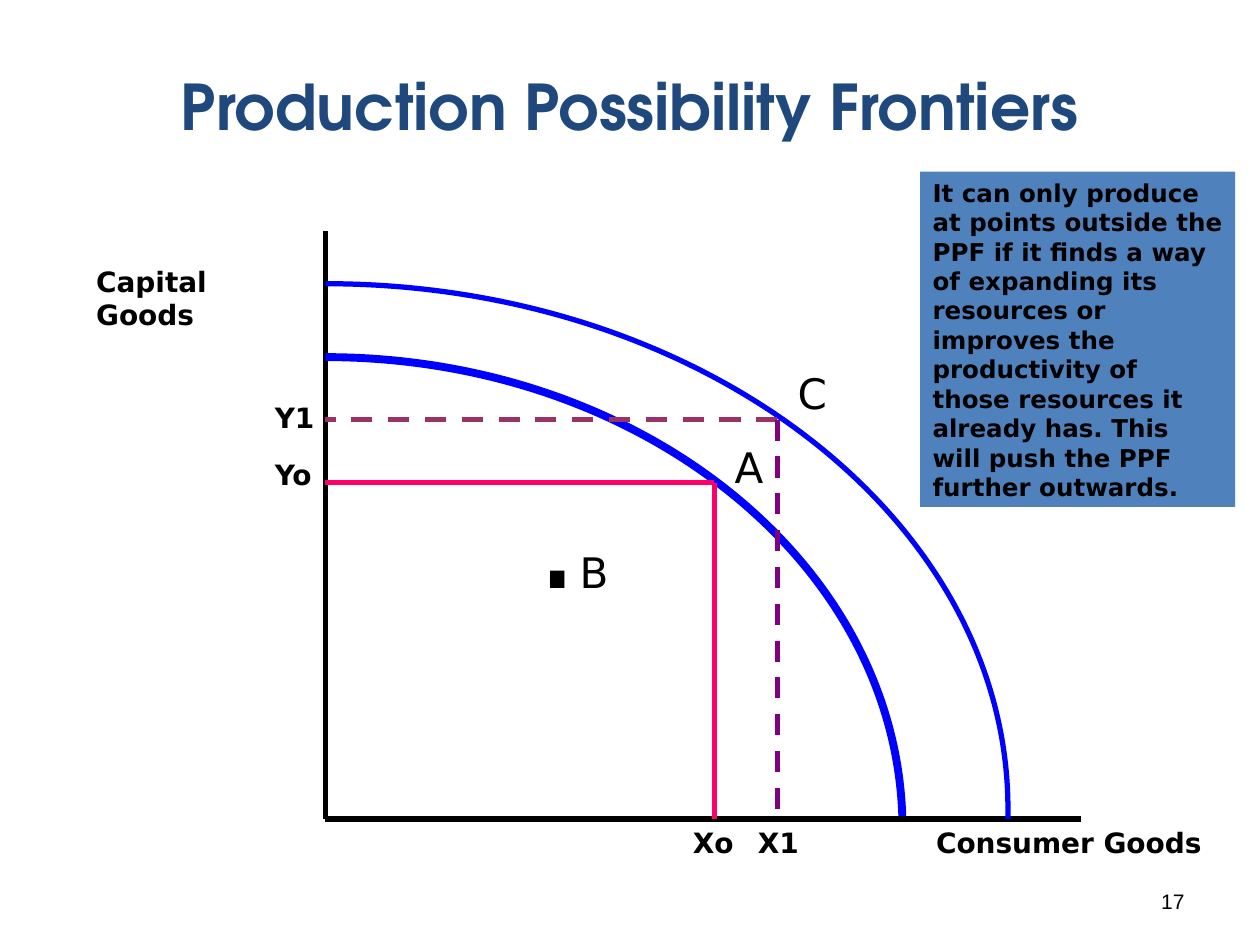
from lxml import etree
from pptx import Presentation
from pptx.dml.color import RGBColor
from pptx.enum.dml import MSO_LINE
from pptx.enum.shapes import MSO_CONNECTOR, MSO_SHAPE
from pptx.enum.text import MSO_ANCHOR, MSO_AUTO_SIZE, PP_ALIGN
from pptx.oxml.ns import qn
from pptx.util import Cm, Pt

STRAIGHT, RECTANGLE = MSO_CONNECTOR.STRAIGHT, MSO_SHAPE.RECTANGLE
DASH = MSO_LINE.DASH
TOP, MIDDLE = MSO_ANCHOR.TOP, MSO_ANCHOR.MIDDLE
FIXED, GROW = MSO_AUTO_SIZE.NONE, MSO_AUTO_SIZE.SHAPE_TO_FIT_TEXT
LEFT, CENTER, RIGHT = PP_ALIGN.LEFT, PP_ALIGN.CENTER, PP_ALIGN.RIGHT

THEME = {
    "black": "000000", "curve": "0000FF", "current": "FF0066",
    "growth_y": "993366", "growth_x": "800080", "note": "4F81BD",
    "title": {"name": "TeX Gyre Adventor", "size": Pt(36), "bold": True, "color": "1F497D"},
    "label": {"name": "DejaVu Sans", "size": Pt(16), "bold": True, "color": "000000"},
    "remark": {"name": "DejaVu Sans", "size": Pt(14), "bold": True, "color": "000000"},
    "point": {"name": "DejaVu Sans", "size": Pt(24), "bold": False, "color": "000000"},
    "dot": {"name": "DejaVu Sans", "size": Pt(80), "bold": False, "color": "000000"},
    "number": {"name": "Arial", "size": Pt(12), "bold": False, "color": "000000"},
}

# All places are in centimetres.
AXIS_X, AXIS_Y, AXIS_TOP, AXIS_RIGHT = 6.56, 16.51, 4.66, 21.8
X0, Y0 = 14.4, 9.73
X1, Y1 = 15.67, 8.46

AXES = [
    ((AXIS_X, AXIS_TOP), (AXIS_X, AXIS_Y), "black", None),
    ((AXIS_X, AXIS_Y), (AXIS_RIGHT, AXIS_Y), "black", None),
]
CURRENT_GUIDES = [
    ((AXIS_X, Y0), (X0, Y0), "current", None),
    ((X0, Y0), (X0, AXIS_Y), "current", None),
]
GROWTH_GUIDES = [
    ((X1, Y1), (AXIS_X, Y1), "growth_y", DASH),
    ((X1, Y1), (X1, AXIS_Y), "growth_x", DASH),
]

# top, (width, height), line width, Bezier segments measured from the top left
INNER_FRONTIER = (7.2, (11.63, 9.53), 4.5, [
    [(6.3, 0), (11.46, 4.09), (11.63, 9.25)],
])
OUTER_FRONTIER = (5.72, (13.76, 10.79), 3, [
    [(7.6, 0), (13.76, 4.75), (13.76, 10.59)],
    [(13.76, 10.66), (13.76, 10.72), (13.76, 10.79)],
])

TITLE = ((1.9, 0.53, 21.59, 3.18), [("Production Possibility Frontiers", "title")])
PAGE_NUMBER = ((18.21, 17.65, 5.92, 1.02), [("17", "number")])
CAPITAL = ((1.69, 5.2, 4.8, 0.94), [("Capital Goods", "label")])
LABELS = [
    ((18.62, AXIS_Y, 5.87, 0.94), [("Consumer Goods", "label")]),
    ((5.29, 9.09, 1.32, 0.94), [("Yo", "label")]),
    ((13.72, AXIS_Y, 1.32, 0.94), [("Xo", "label")]),
    ((14.56, 8.77, 1.09, 1.27), [("A", "point")]),
    ((10.54, 8.92, 2.13, 3.63), [(".", "dot"), ("B", "point")]),
    ((15.83, 7.29, 1.09, 1.27), [("C", "point")]),
    ((5.29, 7.95, 1.32, 0.94), [("Y1", "label")]),
    ((15.03, AXIS_Y, 1.35, 0.94), [("X1", "label")]),
]
NOTE = ((18.55, 3.46, 6.35, 6.76), [(
    "It can only produce at points outside the PPF if it finds a way of "
    "expanding its resources or improves the productivity of those resources "
    "it already has. This will push the PPF further outwards.", "remark")])


def rgb(value):
    return RGBColor.from_string(value)


def write(shape, spans, align=LEFT, anchor=TOP, wrap=True, fit=GROW):
    frame = shape.text_frame
    frame.word_wrap, frame.vertical_anchor, frame.auto_size = wrap, anchor, fit
    para = frame.paragraphs[0]
    para.alignment = align
    for words, style in spans:
        span = para.add_run()
        span.text = words
        for key, value in THEME[style].items():
            if key == "color":
                span.font.color.rgb = rgb(value)
            else:
                setattr(span.font, key, value)


def add_text(page, item, **layout):
    place, spans = item
    write(page.shapes.add_textbox(*map(Cm, place)), spans, **layout)


def add_lines(page, lines):
    for start, end, color, dash in lines:
        line = page.shapes.add_connector(STRAIGHT, *map(Cm, start + end))
        line.line.color.rgb = rgb(THEME[color])
        line.line.width = Pt(3)
        if dash:
            line.line.dash_style = dash
        etree.SubElement(line._element.spPr, qn("a:effectLst"))


def add_frontier(page, frontier):
    """Span the frame with a freeform, then give its outline Bezier segments."""
    top, (width, height), weight, segments = frontier
    builder = page.shapes.build_freeform(Cm(AXIS_X), Cm(top))
    builder.add_line_segments([(Cm(AXIS_X + width), Cm(top + height))], close=False)
    curve = builder.convert_to_shape()
    outline = curve._element.spPr.find(".//" + qn("a:path"))
    outline.set("fill", "none")
    outline.remove(outline.find(qn("a:lnTo")))
    for segment in segments:
        bezier = etree.SubElement(outline, qn("a:cubicBezTo"))
        for x, y in segment:
            etree.SubElement(bezier, qn("a:pt"), x=str(int(Cm(x))), y=str(int(Cm(y))))
    curve.shadow.inherit = False
    curve.fill.background()
    curve.line.color.rgb = rgb(THEME["curve"])
    curve.line.width = Pt(weight)


def add_note(page):
    place, spans = NOTE
    box = page.shapes.add_shape(RECTANGLE, *map(Cm, place))
    box.shadow.inherit = False
    box.fill.solid()
    box.fill.fore_color.rgb = rgb(THEME["note"])
    box.line.fill.background()
    write(box, spans)


def main():
    deck = Presentation()
    deck.slide_width, deck.slide_height = Cm(25.4), Cm(19.05)
    page = deck.slides.add_slide(deck.slide_layouts[6])
    add_text(page, PAGE_NUMBER, align=RIGHT, anchor=MIDDLE, fit=FIXED)
    add_text(page, TITLE, align=CENTER, anchor=MIDDLE, fit=FIXED)
    add_lines(page, AXES)
    add_frontier(page, INNER_FRONTIER)
    add_text(page, CAPITAL)
    add_lines(page, CURRENT_GUIDES)
    add_frontier(page, OUTER_FRONTIER)
    add_lines(page, GROWTH_GUIDES)
    for label in LABELS:
        add_text(page, label, wrap=False)
    add_note(page)
    deck.save("out.pptx")


if __name__ == "__main__":
    main()
